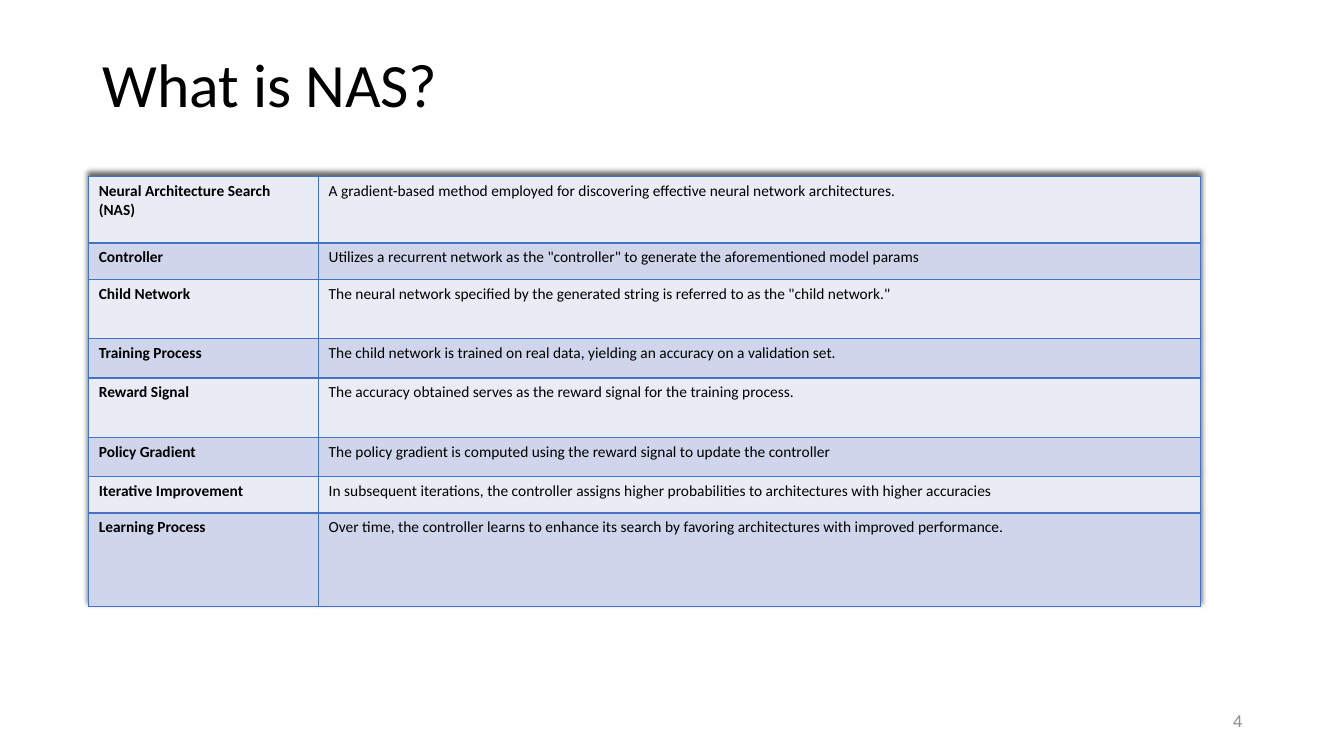
from lxml import etree
from pptx import Presentation
from pptx.dml.color import RGBColor
from pptx.enum.text import MSO_ANCHOR, PP_ALIGN
from pptx.oxml import parse_xml
from pptx.oxml.ns import qn
from pptx.util import Inches, Pt

MIDDLE = MSO_ANCHOR.MIDDLE
LEFT, RIGHT = PP_ALIGN.LEFT, PP_ALIGN.RIGHT
BLACK = RGBColor(0x00, 0x00, 0x00)
GRAY = RGBColor(0x8C, 0x8C, 0x8C)
BORDER = RGBColor(0x44, 0x72, 0xC4)
BANDS = [RGBColor(0xE9, 0xEB, 0xF5), RGBColor(0xCF, 0xD5, 0xEA)]

COLUMN_WIDTHS = [2.28, 8.75]
TERMS = [
    (0.66, "Neural Architecture Search (NAS)",
     "A gradient-based method employed for discovering effective neural network architectures."),
    (0.36, "Controller",
     'Utilizes a recurrent network as the "controller" to generate the aforementioned model params'),
    (0.59, "Child Network",
     'The neural network specified by the generated string is referred to as the "child network."'),
    (0.39, "Training Process",
     "The child network is trained on real data, yielding an accuracy on a validation set."),
    (0.59, "Reward Signal",
     "The accuracy obtained serves as the reward signal for the training process."),
    (0.39, "Policy Gradient",
     "The policy gradient is computed using the reward signal to update the controller"),
    (0.36, "Iterative Improvement",
     "In subsequent iterations, the controller assigns higher probabilities to architectures with higher accuracies"),
    (0.93, "Learning Process",
     "Over time, the controller learns to enhance its search by favoring architectures with improved performance."),
]
SHADOW = (
    '<a:effectLst xmlns:a="http://schemas.openxmlformats.org/drawingml/2006/main">'
    '<a:outerShdw blurRad="50800" dist="38100" dir="16200000" rotWithShape="0">'
    '<a:prstClr val="black"><a:alpha val="60000"/></a:prstClr>'
    '</a:outerShdw></a:effectLst>'
)


def write(para, text, color, **formats):
    span = para.add_run()
    span.text = text
    span.font.color.rgb = color
    for name, value in formats.items():
        setattr(span.font, name, value)


def add_border(cell, side):
    line = etree.SubElement(cell._tc.get_or_add_tcPr(), qn(f"a:{side}"), w=str(Pt(1)))
    fill = etree.SubElement(line, qn("a:solidFill"))
    etree.SubElement(fill, qn("a:srgbClr"), val=str(BORDER))


deck = Presentation()
deck.slide_width = Inches(13.33)
deck.slide_height = Inches(7.5)
page = deck.slides.add_slide(deck.slide_layouts[6])

labels = [
    ((0.92, 0.4, 11.5, 0.93), "What is NAS?", BLACK, LEFT, 0.9,
     {"name": "Calibri", "size": Pt(44)}),
    ((9.42, 6.95, 3, 0.4), "4", GRAY, RIGHT, 1.0,
     {"name": "Arial", "size": Pt(12)}),
]
for place, text, color, alignment, spacing, formats in labels:
    box = page.shapes.add_textbox(*map(Inches, place))
    box.text_frame.word_wrap = True
    box.text_frame.vertical_anchor = MIDDLE
    para = box.text_frame.paragraphs[0]
    para.alignment = alignment
    para.line_spacing = spacing
    write(para, text, color, **formats)

height = sum(term[0] for term in TERMS)
frame = page.shapes.add_table(
    len(TERMS), len(COLUMN_WIDTHS), Inches(0.88), Inches(1.75),
    Inches(sum(COLUMN_WIDTHS)), Inches(height))
table = frame.table
table.first_row = False
table._tbl.tblPr.insert(0, parse_xml(SHADOW))
for column, width in zip(table.columns, COLUMN_WIDTHS):
    column.width = Inches(width)

for row_index, (row_height, *texts) in enumerate(TERMS):
    table.rows[row_index].height = Inches(row_height)
    for column_index, text in enumerate(texts):
        cell = table.cell(row_index, column_index)
        for side in ("lnL", "lnR", "lnT", "lnB"):
            add_border(cell, side)
        cell.fill.solid()
        cell.fill.fore_color.rgb = BANDS[row_index % 2]
        write(cell.text_frame.paragraphs[0], text, BLACK,
              name="Calibri", size=Pt(11), bold=column_index == 0)

deck.save("out.pptx")
